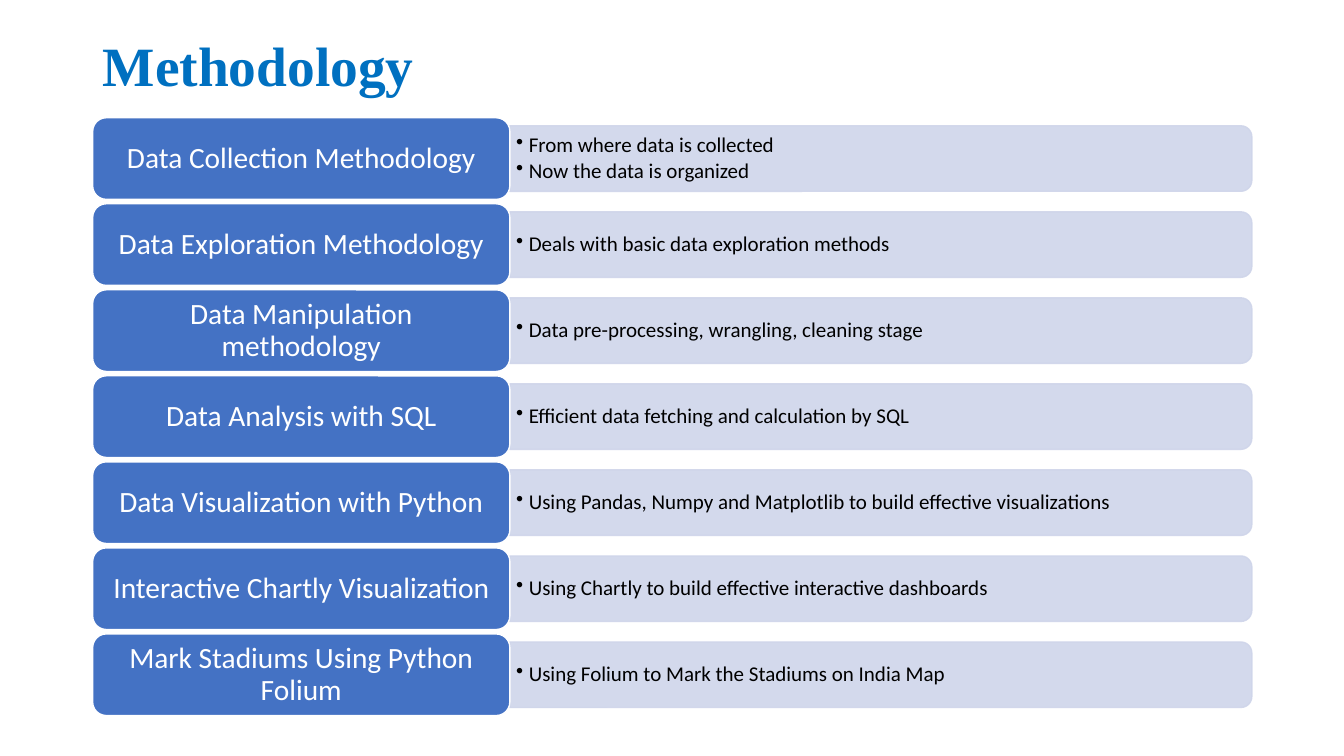
import lxml.etree
import pptx
import pptx.dml.color
import pptx.enum.shapes
import pptx.enum.text
import pptx.oxml.ns
import pptx.util

Pt = pptx.util.Pt
qn = pptx.oxml.ns.qn
SHAPES = pptx.enum.shapes.MSO_SHAPE
ALIGN = pptx.enum.text.PP_ALIGN
MIDDLE = pptx.enum.text.MSO_ANCHOR.MIDDLE

COLORS = {
    "title": "0070C0",
    "label": "4472C4",
    "bar": "CFD5EA",
    "white": "FFFFFF",
    "black": "000000",
}

STEPS = [
    ("Data Collection Methodology",
     ["From where data is collected", "Now the data is organized"]),
    ("Data Exploration Methodology",
     ["Deals with basic data exploration methods"]),
    ("Data Manipulation methodology",
     ["Data pre-processing, wrangling, cleaning stage"]),
    ("Data Analysis with SQL",
     ["Efficient data fetching and calculation by SQL"]),
    ("Data Visualization with Python",
     ["Using Pandas, Numpy and Matplotlib to build effective visualizations"]),
    ("Interactive Chartly Visualization",
     ["Using Chartly to build effective interactive dashboards"]),
    ("Mark Stadiums Using Python Folium",
     ["Using Folium to Mark the Stadiums on India Map"]),
]

LEFT, FIRST_TOP, ROW_PITCH = 66.2, 84.1, 61.45
LABEL_WIDTH, LABEL_HEIGHT = 298, 58.3
BAR_LEFT = LEFT + LABEL_WIDTH
BAR_WIDTH, BAR_HEIGHT = 530, 46.8


def rgb(name):
    return pptx.dml.color.RGBColor.from_string(COLORS[name])


def format_frame(text_frame, side_inset, end_inset):
    text_frame.word_wrap = True
    text_frame.vertical_anchor = MIDDLE
    text_frame.margin_left = text_frame.margin_right = Pt(side_inset)
    text_frame.margin_top = text_frame.margin_bottom = Pt(end_inset)


def format_paragraph(paragraph, size, color, align, font="Calibri", bold=False):
    paragraph.alignment = align
    paragraph.line_spacing = 0.9
    for run in paragraph.runs:
        run.font.name = font
        run.font.size = Pt(size)
        run.font.bold = bold
        run.font.color.rgb = rgb(color)


def add_bullet(paragraph):
    properties = paragraph._p.get_or_add_pPr()
    properties.set("marL", str(Pt(9)))
    properties.set("indent", str(-Pt(9)))
    lxml.etree.SubElement(properties, qn("a:buChar"), char="•")


def add_panel(slide, kind, left, top, width, height, fill, line):
    shape = slide.shapes.add_shape(kind, Pt(left), Pt(top), Pt(width), Pt(height))
    shape.shadow.inherit = False
    shape.fill.solid()
    shape.fill.fore_color.rgb = rgb(fill)
    shape.line.color.rgb = rgb(line)
    shape.line.width = Pt(1)
    return shape


def add_bar(slide, middle):
    """Add a bar rounded at its right end: an upright shape turned by 90 degrees."""
    bar = add_panel(slide, SHAPES.ROUND_2_SAME_RECTANGLE,
                    BAR_LEFT + (BAR_WIDTH - BAR_HEIGHT) / 2, middle - BAR_WIDTH / 2,
                    BAR_HEIGHT, BAR_WIDTH, "bar", "bar")
    bar.rotation = 90
    for color in bar._element.spPr.iter(qn("a:srgbClr")):
        lxml.etree.SubElement(color, qn("a:alpha"), val="90000")


def add_details(slide, middle, details):
    box = slide.shapes.add_textbox(Pt(BAR_LEFT), Pt(middle - 21),
                                   Pt(BAR_WIDTH - 2), Pt(42))
    format_frame(box.text_frame, 4.5, 2.25)
    box.text_frame.text = "\n".join(details)
    for paragraph in box.text_frame.paragraphs:
        format_paragraph(paragraph, 15, "black", ALIGN.LEFT)
        paragraph.space_after = Pt(2.25)
        add_bullet(paragraph)


def add_label(slide, top, text):
    label = add_panel(slide, SHAPES.ROUNDED_RECTANGLE, LEFT, top,
                      LABEL_WIDTH, LABEL_HEIGHT, "label", "white")
    format_frame(label.text_frame, 9, 5)
    label.text_frame.text = text
    format_paragraph(label.text_frame.paragraphs[0], 21, "white", ALIGN.CENTER)


def set_title(slide, text):
    title = slide.shapes.title
    title.left, title.top = Pt(LEFT), Pt(28.8)
    title.width, title.height = Pt(828), Pt(41)
    format_frame(title.text_frame, 7.2, 3.6)
    title.text_frame.text = text
    format_paragraph(title.text_frame.paragraphs[0], 39.6, "title", ALIGN.LEFT,
                     "Times New Roman", True)


def main():
    presentation = pptx.Presentation()
    presentation.slide_width, presentation.slide_height = Pt(960), Pt(540)
    slide = presentation.slides.add_slide(presentation.slide_layouts[5])
    set_title(slide, "Methodology")
    for row, (name, details) in enumerate(STEPS):
        top = FIRST_TOP + row * ROW_PITCH
        middle = top + LABEL_HEIGHT / 2
        add_bar(slide, middle)
        add_details(slide, middle, details)
        add_label(slide, top, name)
    presentation.save("out.pptx")


if __name__ == "__main__":
    main()
